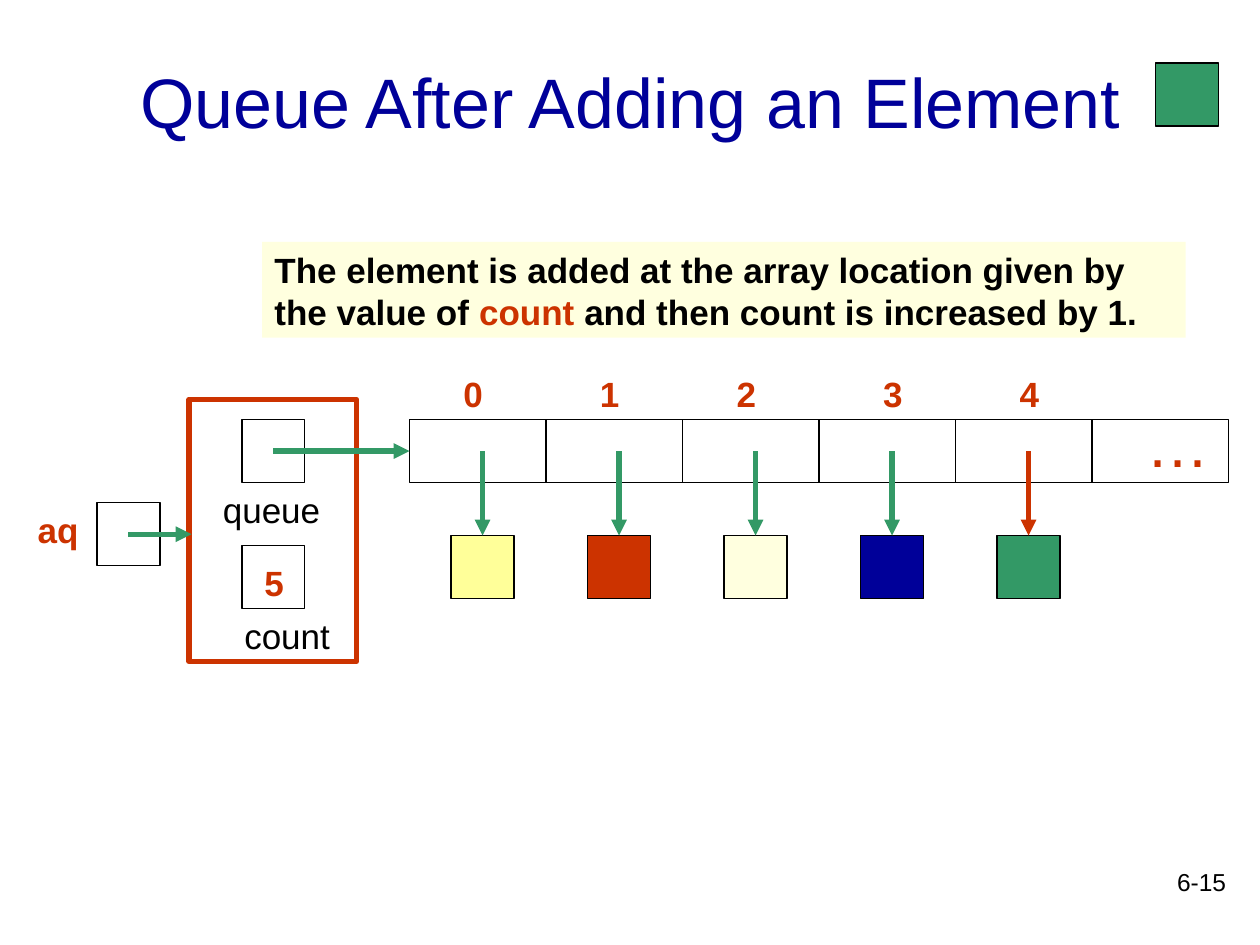
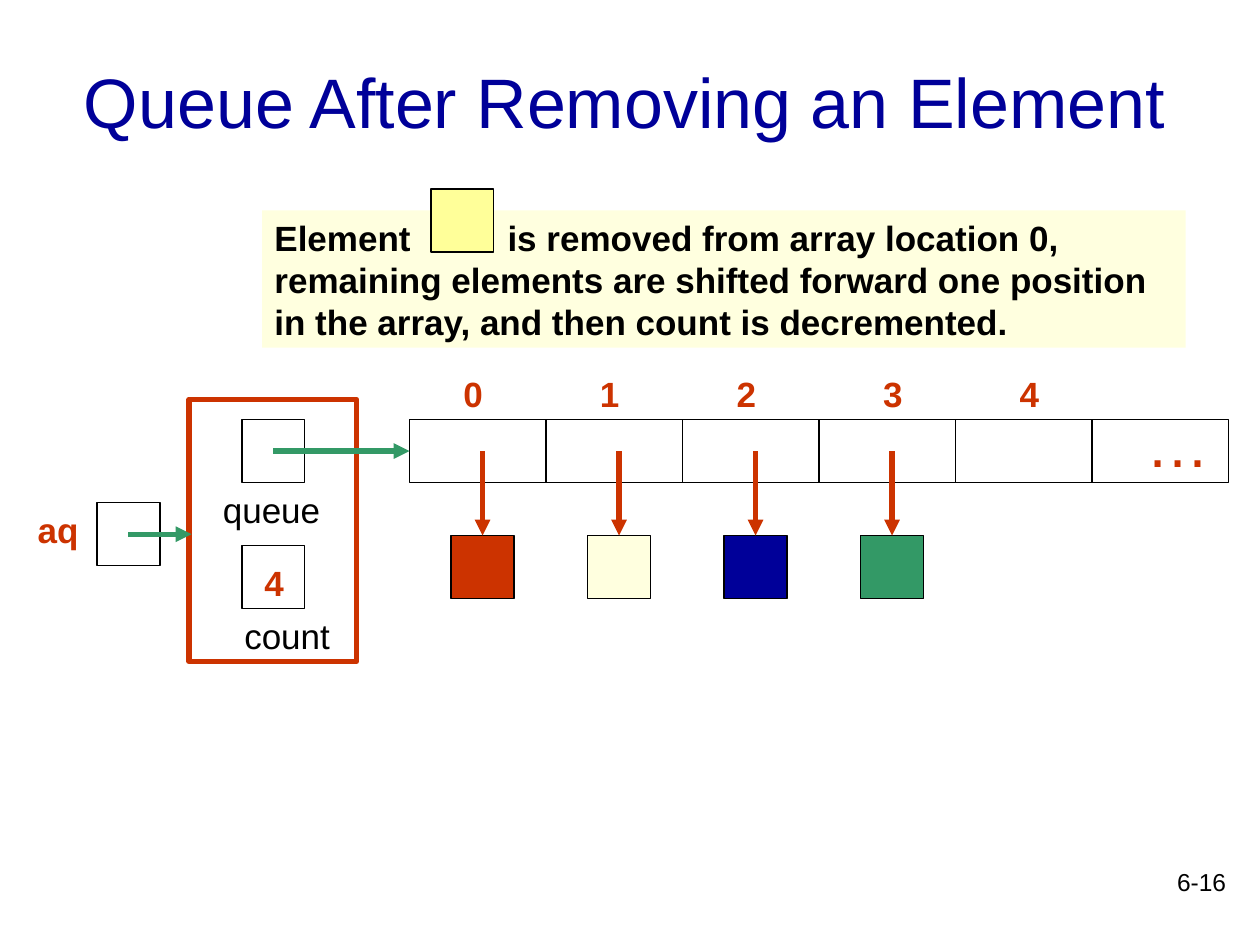
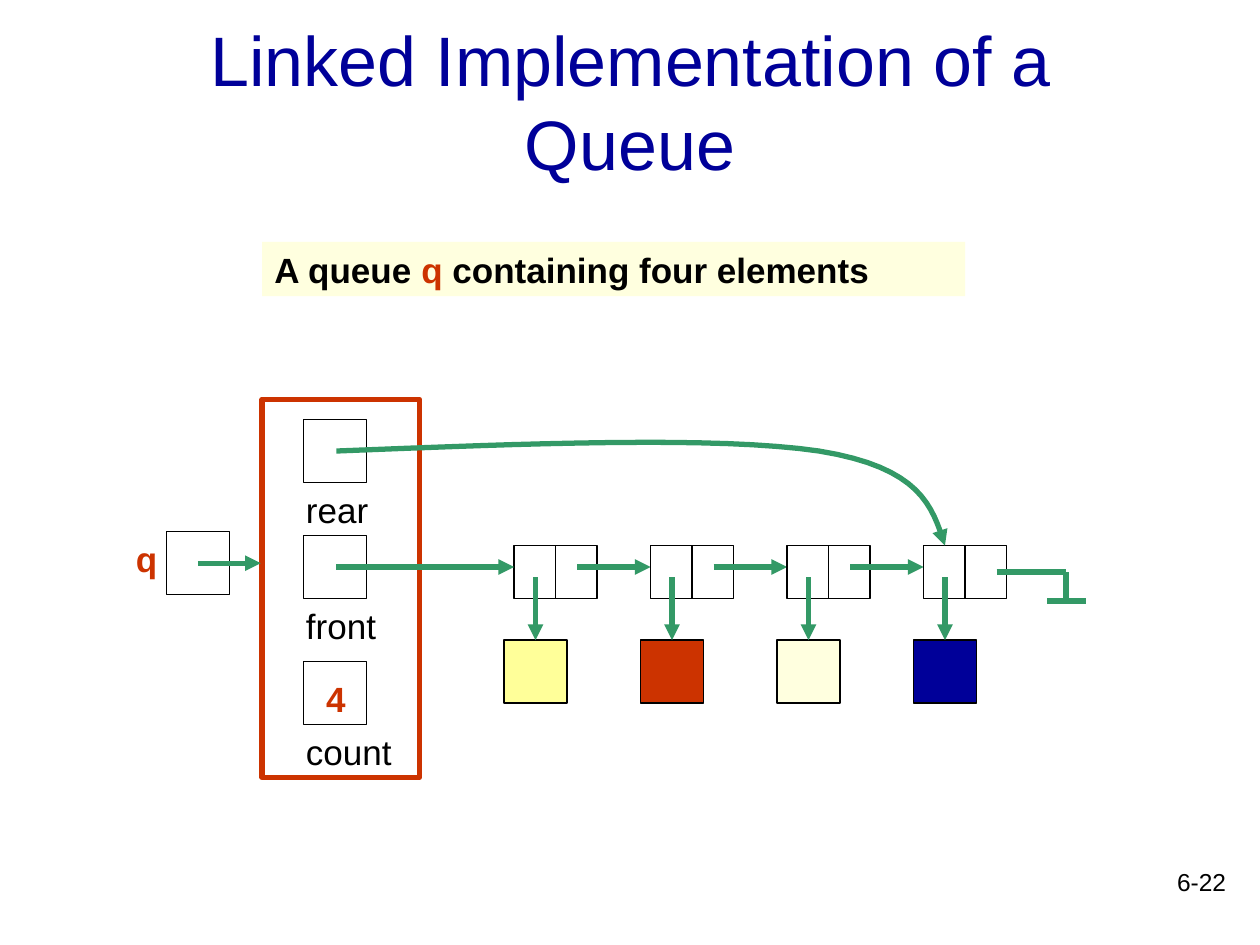
from lxml import etree
from pptx import Presentation
from pptx.dml.color import RGBColor
from pptx.enum.shapes import MSO_CONNECTOR, MSO_SHAPE
from pptx.enum.text import MSO_ANCHOR, MSO_AUTO_SIZE, PP_ALIGN
from pptx.oxml.ns import qn
from pptx.util import Inches, Pt

RECT = MSO_SHAPE.RECTANGLE
STRAIGHT = MSO_CONNECTOR.STRAIGHT
MIDDLE, FIXED = MSO_ANCHOR.MIDDLE, MSO_AUTO_SIZE.NONE
LEFT, CENTER, RIGHT = PP_ALIGN.LEFT, PP_ALIGN.CENTER, PP_ALIGN.RIGHT

COLORS = {
    "black": "000000",
    "navy": "000099",
    "red": "CC3300",
    "green": "339966",
    "yellow": "FFFF99",
    "cream": "FFFFDF",
}
FONT = "Arial"
SIDE = 0.5
PITCH = 13 / 12
LINE_H = 0.33


def rgb(name):
    """Return the palette colour with this name."""
    return RGBColor.from_string(COLORS[name])


def set_font(font, size, color, bold=False):
    """Apply the deck's typeface with a size, colour and weight."""
    font.name, font.size, font.bold = FONT, Pt(size), bold
    font.color.rgb = rgb(color)


def add_box(s, x, y, w=SIDE, h=SIDE, fill=None, line="black", width=0.75):
    """Add a plain rectangle, by default an empty square cell."""
    sp = s.shapes.add_shape(RECT, Inches(x), Inches(y), Inches(w), Inches(h))
    sp.shadow.inherit = False
    if fill:
        sp.fill.solid()
        sp.fill.fore_color.rgb = rgb(fill)
    else:
        sp.fill.background()
    if line:
        sp.line.color.rgb = rgb(line)
        sp.line.width = Pt(width)
    else:
        sp.line.fill.background()
    return sp


def add_label(s, text, x, y, w, h=0.43, size=20, color="black", bold=False, align=LEFT):
    """Add one line of text."""
    tb = s.shapes.add_textbox(Inches(x), Inches(y), Inches(w), Inches(h))
    tf = tb.text_frame
    tf.word_wrap = True
    p = tf.paragraphs[0]
    p.text, p.alignment = text, align
    set_font(p.font, size, color, bold)


def style_line(sp, color, head):
    """Give a line its colour and weight, and an arrowhead if wanted."""
    sp.line.color.rgb = rgb(color)
    sp.line.width = Pt(3)
    if head:
        ln = sp.line._get_or_add_ln()
        etree.SubElement(ln, qn("a:tailEnd"), type="triangle")


def add_line(s, x1, y1, x2, y2, color="green", head=True):
    """Add a straight arrow, or a plain line without head."""
    cn = s.shapes.add_connector(STRAIGHT, Inches(x1), Inches(y1), Inches(x2), Inches(y2))
    style_line(cn, color, head)
    etree.SubElement(cn._element.spPr, qn("a:effectLst"))


def bezier(p0, p1, p2, p3, steps=16):
    """Return points along a cubic curve, without its start."""
    points = []
    for i in range(1, steps + 1):
        t = i / steps
        u = 1 - t
        points.append(tuple(
            Inches(u**3 * a + 3 * u * u * t * b + 3 * u * t * t * c + t**3 * d)
            for a, b, c, d in zip(p0, p1, p2, p3)))
    return points


def add_curve(s, start, *curves):
    """Add a curved arrow made of joined cubic curves."""
    points, last = [], start
    for curve in curves:
        points += bezier(last, *curve)
        last = curve[-1]
    builder = s.shapes.build_freeform(Inches(start[0]), Inches(start[1]))
    builder.add_line_segments(points, close=False)
    sp = builder.convert_to_shape()
    sp.shadow.inherit = False
    sp.fill.background()
    style_line(sp, "green", True)


def add_slide(prs, title, number, x=0.75, w=8.5):
    """Add a slide with its title and page number."""
    s = prs.slides.add_slide(prs.slide_layouts[5])
    sp = s.shapes.title
    sp.left, sp.top, sp.width, sp.height = Inches(x), Inches(0.17), Inches(w), Inches(1.25)
    tf = sp.text_frame
    tf.text = title
    tf.auto_size, tf.vertical_anchor, tf.word_wrap = FIXED, MIDDLE, True
    p = tf.paragraphs[0]
    p.alignment = CENTER
    set_font(p.font, 40, "navy")
    add_label(s, f"6-{number}", 7.75, 6.83, 2.08, 0.5, size=14, align=RIGHT)
    return s


def add_note(s, runs, y, lines, w=7.33, tab=None):
    """Add the cream explanation band from (text, colour) runs."""
    sp = add_box(s, 2.08, y, w, 0.1 + lines * LINE_H, "cream", None)
    tf = sp.text_frame
    tf.word_wrap, tf.vertical_anchor = True, MSO_ANCHOR.TOP
    p = tf.paragraphs[0]
    p.alignment = LEFT
    if tab:
        tabs = etree.SubElement(p._p.get_or_add_pPr(), qn("a:tabLst"))
        etree.SubElement(tabs, qn("a:tab"), pos=str(Inches(tab)), algn="l")
    for text, color in runs:
        r = p.add_run()
        r.text = text
        set_font(r.font, 20, color, True)


def add_variable(s, name, x, y, label_gap, label_w):
    """Add a named reference cell with its arrow to the record."""
    add_label(s, name, x - label_gap, y, label_w, color="red", bold=True)
    add_box(s, x, y)
    add_line(s, x + 0.25, y + 0.25, x + 0.75, y + 0.25)


def add_record(s, x, y, w, h, inset, fields, count):
    """Add the object frame; fields are (name, cell top, caption shift)."""
    for name, dy, shift in fields:
        add_box(s, x + inset, y + dy)
        add_label(s, name, x + inset + shift, y + dy + 0.5, 1.08)
    add_label(s, str(count), x + inset + 0.08, y + fields[-1][1] + 0.08, 0.39,
              color="red", bold=True)
    add_box(s, x, y, w, h, line="red", width=3)


def add_array(s, x, y, elements):
    """Add the indexed array; elements are (fill, arrow colour)."""
    for i in range(6):
        add_box(s, x + i * PITCH, y, PITCH)
    for i in range(5):
        nudge = 0.08 if i > 2 else 0
        add_label(s, str(i), x + 0.33 + i * PITCH + nudge, y - 0.42, 0.39,
                  color="red", bold=True)
    for i, (fill, arrow) in enumerate(elements):
        left = x + 0.33 + i * PITCH
        add_box(s, left, y + 0.92, fill=fill)
        add_line(s, left + 0.25, y + 0.25, left + 0.25, y + 0.92, arrow)
    add_label(s, "…", x + 5.75, y - 0.17, 0.67, 0.7, size=36, color="red")


def add_chain(s, x, y, fills):
    """Add linked nodes with their elements and the closing null mark."""
    for i, fill in enumerate(fills):
        left = x + i * PITCH
        add_box(s, left - 0.08, y + 0.75, fill=fill)
        for dx in (0, 0.33):
            add_box(s, left + dx, y, 0.33, 0.42)
        add_line(s, left + 0.17, y + 0.25, left + 0.17, y + 0.75)
        if i < len(fills) - 1:
            add_line(s, left + 0.5, y + 0.17, left + PITCH, y + 0.17)
    for x1, y1, x2, y2 in ((0.58, 0.21, 1.13, 0.21), (1.13, 0.21, 1.13, 0.44),
                           (0.98, 0.44, 1.29, 0.44)):
        add_line(s, left + x1, y + y1, left + x2, y + y2, head=False)


def add_array_queue(s, elements):
    """Draw the array queue aq holding the given elements."""
    fields = [("queue", 0.16, -0.25), ("count", 1.16, -0.08)]
    add_record(s, 1.5, 3.17, 1.33, 2.08, 0.42, fields, len(elements))
    add_array(s, 3.25, 3.33, elements)
    add_line(s, 2.17, 3.58, 3.25, 3.58)
    add_variable(s, "aq", 0.77, 3.99, 0.57, 0.74)


def adding_slide(prs):
    """Build the slide on adding an element."""
    s = add_slide(prs, "Queue After Adding an Element", 15)
    old = [(fill, "green") for fill in ("yellow", "red", "cream", "navy")]
    add_array_queue(s, old + [("green", "red")])
    add_note(s, [("The element is added at the array location given by the value of ", "black"),
                 ("count ", "red"),
                 ("and then count is increased by 1.", "black")], 1.92, 2)
    add_box(s, 9.17, 0.5, fill="green")


def removing_slide(prs):
    """Build the slide on removing an element."""
    s = add_slide(prs, "Queue After Removing an Element", 16, 0.33, 9.25)
    add_array_queue(s, [(fill, "red") for fill in ("red", "cream", "navy", "green")])
    add_note(s, [("Element\tis removed from array location 0, remaining elements are "
                  "shifted forward one position in the array, and then count is "
                  "decremented.", "black")], 1.67, 3, tab=1.85)
    add_box(s, 3.42, 1.5, fill="yellow")


def linked_slide(prs):
    """Build the slide on the linked queue."""
    s = add_slide(prs, "Linked Implementation of a Queue", 22)
    fields = [("rear", 0.16, -0.08), ("front", 1.08, -0.08), ("count", 2.08, -0.08)]
    add_record(s, 2.08, 3.17, 1.25, 3, 0.33, fields, 4)
    add_chain(s, 4.08, 4.33, ["yellow", "red", "cream", "navy"])
    add_line(s, 2.67, 4.5, 4.08, 4.5)
    add_curve(s, (2.67, 3.58),
              ((4.18, 3.52), (5.69, 3.46), (6.5, 3.58)),
              ((7.31, 3.71), (7.4, 4.02), (7.5, 4.33)))
    add_note(s, [("A queue ", "black"), ("q", "red"),
                 (" containing four elements", "black")], 1.92, 1, 5.58)
    add_variable(s, "q", 1.32, 4.22, 0.34, 0.5)


def main():
    """Build and save the deck."""
    prs = Presentation()
    prs.slide_width, prs.slide_height = Inches(10), Inches(7.5)
    adding_slide(prs)
    removing_slide(prs)
    linked_slide(prs)
    prs.save("out.pptx")


if __name__ == "__main__":
    main()
